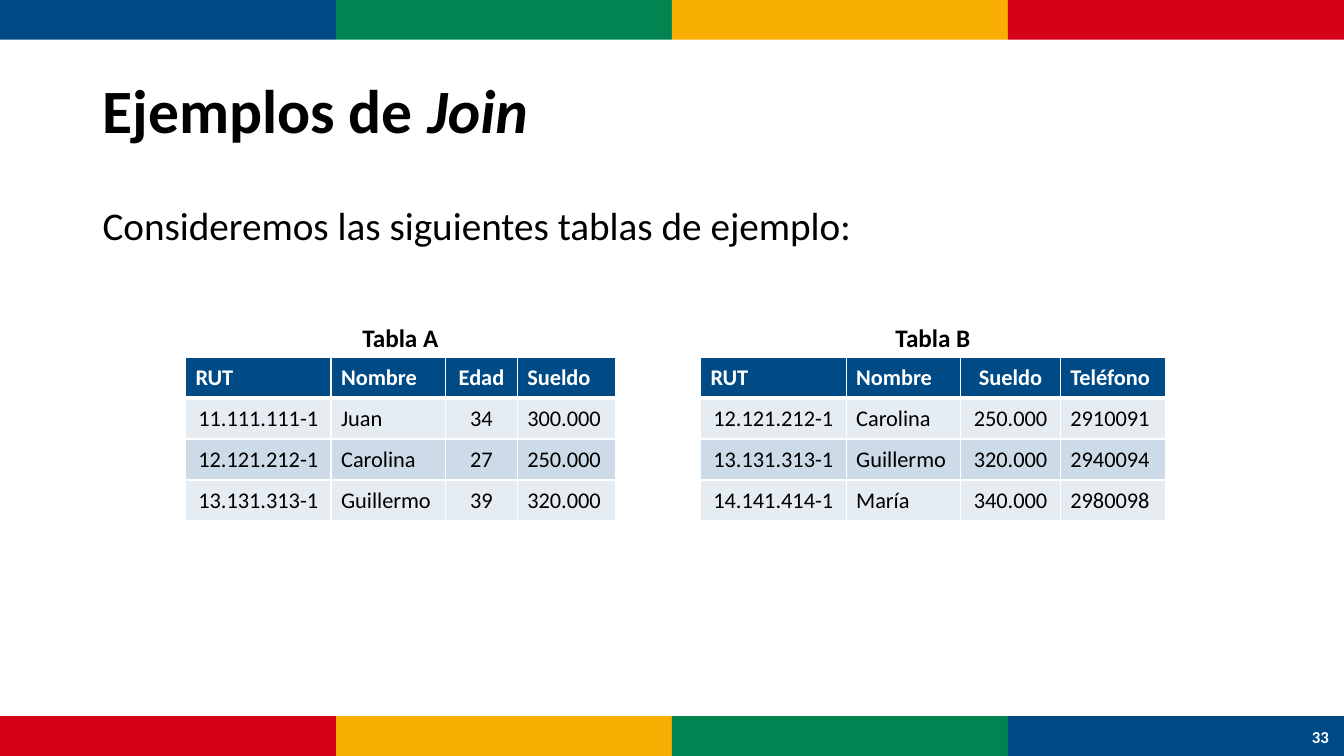
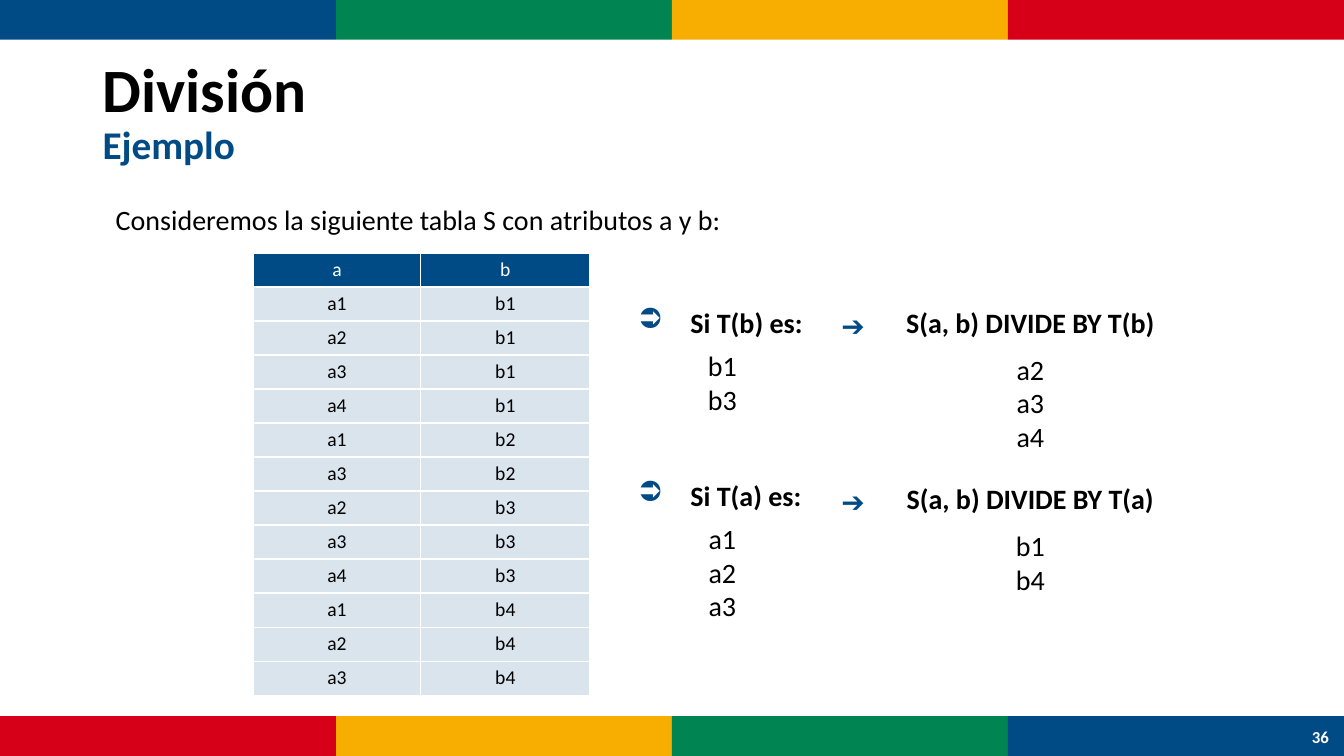
import pptx
import pptx.dml.color
import pptx.enum.shapes
import pptx.enum.text
import pptx.oxml
import pptx.oxml.ns
import pptx.util
import lxml.etree

Pt = pptx.util.Pt
ALIGN = pptx.enum.text.PP_ALIGN
MIDDLE = pptx.enum.text.MSO_ANCHOR.MIDDLE
TOP = pptx.enum.text.MSO_ANCHOR.TOP
LEFT, CENTER, JUSTIFY = ALIGN.LEFT, ALIGN.CENTER, ALIGN.JUSTIFY
qn = pptx.oxml.ns.qn

FONT = "Calibri"
BLUE, GREEN, YELLOW, RED = "004B85", "008452", "F7AE00", "D60019"
BLACK, WHITE = "000000", "FFFFFF"
BLUE_10, BLUE_15, BLUE_20 = "E5EDF3", "D9E4ED", "CCDBE7"
SLIDE_WIDTH, SLIDE_HEIGHT = 960, 540
BAND_HEIGHT = 28.4
BAND_COLORS = [BLUE, GREEN, YELLOW, RED]


def rgb(value):
    return pptx.dml.color.RGBColor.from_string(value)


def write_text(frame, text, size=20, color=BLACK, bold=False, italic=False,
               align=LEFT, anchor=TOP, line_spacing=None, bullet=None, join=False):
    frame.word_wrap = True
    frame.vertical_anchor = anchor
    for line in text.split("\n"):
        paragraph = frame.paragraphs[-1]
        if paragraph.runs and not join:
            paragraph = frame.add_paragraph()
        paragraph.alignment = align
        paragraph.line_spacing = line_spacing
        if bullet:
            properties = paragraph._p.get_or_add_pPr()
            properties.set("marL", str(Pt(37.5)))
            properties.set("indent", str(Pt(-37.5)))
            bullet_color = lxml.etree.SubElement(properties, qn("a:buClr"))
            lxml.etree.SubElement(bullet_color, qn("a:srgbClr"), val=BLUE)
            lxml.etree.SubElement(properties, qn("a:buChar"), char=bullet)
        run = paragraph.add_run()
        run.text = line
        run.font.name = FONT
        run.font.size = Pt(size)
        run.font.bold = bold
        run.font.italic = italic
        run.font.color.rgb = rgb(color)


title_style = dict(size=44, bold=True, anchor=MIDDLE, line_spacing=0.9)
caption_style = dict(size=18, bold=True, align=CENTER, anchor=MIDDLE)
number_style = dict(size=12, color=WHITE, bold=True, align=CENTER, anchor=MIDDLE)

join_boxes = [
    (66.2, 144, 828, 41, "Consideremos las siguientes tablas de ejemplo:",
     dict(size=28, align=JUSTIFY, line_spacing=0.9)),
]
division_boxes = [
    (75.6, 141, 452, 31.5, "Consideremos la siguiente tabla S con atributos a y b:",
     dict(align=JUSTIFY)),
]
for condition, left_top, right_top, divisor, quotient in [
    ("b", 214.6, 214.6, "b1\nb3", "a2\na3\na4"),
    ("a", 338, 340.6, "a1\na2\na3", "b1\nb4"),
]:
    division_boxes += [
        (448.6, left_top, 136, 31.5, f"Si T({condition}) es:",
         dict(bold=True, align=JUSTIFY, bullet="➲")),
        (496, left_top + 31, 40, 80, divisor, dict(align=CENTER)),
        (594, right_top + 2, 36, 31.5, "➔", dict(color=BLUE)),
        (626, right_top, 220, 31.5, f"S(a, b) DIVIDE BY T({condition})",
         dict(bold=True, align=CENTER)),
        (716, right_top + 33.5, 40, 80, quotient, dict(align=CENTER)),
    ]

join_table = dict(top=255.2, row_height=29.2, size=16, bold_header=True, rule=3,
                  header_aligns=[LEFT, LEFT, CENTER, LEFT],
                  aligns=[CENTER, LEFT, CENTER, LEFT], fills=[BLUE_10, BLUE_20])
table_a = dict(join_table, left=132.5, columns=[104, 82, 51, 70], caption="Tabla A", rows=[
    ["RUT", "Nombre", "Edad", "Sueldo"],
    ["11.111.111-1", "Juan", "34", "300.000"],
    ["12.121.212-1", "Carolina", "27", "250.000"],
    ["13.131.313-1", "Guillermo", "39", "320.000"],
])
table_b = dict(join_table, left=500.4, columns=[104, 82, 71, 75], caption="Tabla B", rows=[
    ["RUT", "Nombre", "Sueldo", "Teléfono"],
    ["12.121.212-1", "Carolina", "250.000", "2910091"],
    ["13.131.313-1", "Guillermo", "320.000", "2940094"],
    ["14.141.414-1", "María", "340.000", "2980098"],
])
pairs = "a b,a1 b1,a2 b1,a3 b1,a4 b1,a1 b2,a3 b2,a2 b3,a3 b3,a4 b3,a1 b4,a2 b4,a3 b4"
table_s = dict(left=181, top=180.7, columns=[119.5, 121], row_height=24.3, size=14,
               bold_header=False, rule=1, header_aligns=[CENTER, CENTER],
               aligns=[CENTER, CENTER], fills=[BLUE_15], caption=None,
               rows=[pair.split() for pair in pairs.split(",")])

slides = [
    ("33", "Ejemplos de ", "Join", dict(title_style, italic=True, join=True),
     join_boxes, [table_a, table_b]),
    ("36", "División", "Ejemplo", dict(title_style, size=28, color=BLUE),
     division_boxes, [table_s]),
]

presentation = pptx.Presentation()
presentation.slide_width = Pt(SLIDE_WIDTH)
presentation.slide_height = Pt(SLIDE_HEIGHT)

for number, title, title_end, title_end_style, boxes, tables in slides:
    slide = presentation.slides.add_slide(presentation.slide_layouts[6])

    band_width = SLIDE_WIDTH / len(BAND_COLORS)
    for band_top, colors in [(0, BAND_COLORS),
                             (SLIDE_HEIGHT - BAND_HEIGHT, BAND_COLORS[::-1])]:
        for index, color in enumerate(colors):
            band = slide.shapes.add_shape(
                pptx.enum.shapes.MSO_SHAPE.RECTANGLE, Pt(index * band_width),
                Pt(band_top), Pt(band_width), Pt(BAND_HEIGHT))
            band.shadow.inherit = False
            band.fill.solid()
            band.fill.fore_color.rgb = rgb(color)
            band.line.fill.background()

    title_box = slide.shapes.add_textbox(Pt(66.2), Pt(28.8), Pt(828), Pt(104.4))
    write_text(title_box.text_frame, title, **title_style)
    write_text(title_box.text_frame, title_end, **title_end_style)

    captions = [(table["left"], table["top"] - 28.5, sum(table["columns"]), 28.8,
                 table["caption"], caption_style) for table in tables if table["caption"]]
    number_box = (926.6, 512, 33, 28, number, number_style)
    for left, top, width, height, text, style in boxes + captions + [number_box]:
        box = slide.shapes.add_textbox(Pt(left), Pt(top), Pt(width), Pt(height))
        write_text(box.text_frame, text, **style)

    for data in tables:
        rows, columns = data["rows"], data["columns"]
        table = slide.shapes.add_table(
            len(rows), len(columns), Pt(data["left"]), Pt(data["top"]),
            Pt(sum(columns)), Pt(data["row_height"] * len(rows))).table
        for column, width in zip(table.columns, columns):
            column.width = Pt(width)
        for row_index, values in enumerate(rows):
            table.rows[row_index].height = Pt(data["row_height"])
            header = row_index == 0
            aligns = data["header_aligns"] if header else data["aligns"]
            fill = BLUE if header else data["fills"][(row_index - 1) % len(data["fills"])]
            for column_index, value in enumerate(values):
                cell = table.cell(row_index, column_index)
                write_text(cell.text_frame, value, size=data["size"],
                           color=WHITE if header else BLACK,
                           bold=header and data["bold_header"],
                           align=aligns[column_index])
                cell.vertical_anchor = MIDDLE
                borders = dict(lnL=1, lnR=1, lnT=data["rule"] if row_index == 1 else 1,
                               lnB=data["rule"] if header else 1)
                for side, weight in borders.items():
                    line = lxml.etree.SubElement(cell._tc.get_or_add_tcPr(),
                                                 qn("a:" + side), w=str(Pt(weight)))
                    solid = lxml.etree.SubElement(line, qn("a:solidFill"))
                    lxml.etree.SubElement(solid, qn("a:srgbClr"), val=WHITE)
                cell.fill.solid()
                cell.fill.fore_color.rgb = rgb(fill)

presentation.save("out.pptx")
